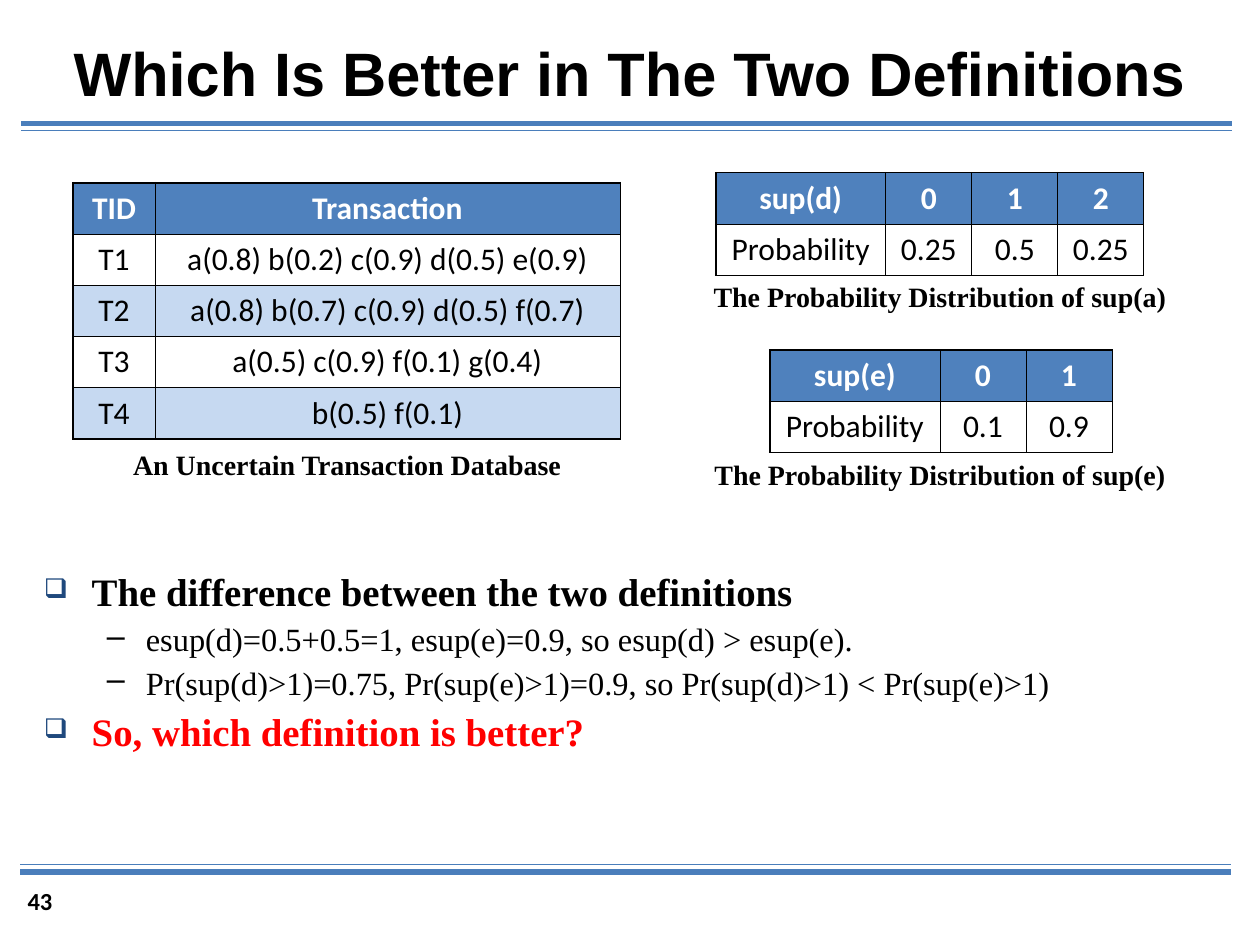
from lxml import etree
from pptx import Presentation
from pptx import util as u
from pptx.dml.color import RGBColor
from pptx.enum import shapes, text
from pptx.oxml import ns

BLACK = RGBColor(0x00, 0x00, 0x00)
WHITE = RGBColor(0xFF, 0xFF, 0xFF)
RED = RGBColor(0xFF, 0x00, 0x00)
RULE_BLUE = RGBColor(0x4A, 0x7E, 0xBB)
HEADER_BLUE = RGBColor(0x4F, 0x81, 0xBD)
BAND_BLUE = RGBColor(0xC6, 0xD9, 0xF1)
BULLET_BLUE = RGBColor(0x1F, 0x49, 0x7D)

TITLE = {"name": "Arial", "size": u.Pt(35), "bold": True}
CAPTION = {"name": "Times New Roman", "size": u.Pt(16), "bold": True}
POINT = {"name": "Times New Roman", "size": u.Pt(22.2), "bold": True}
DETAIL = {"name": "Times New Roman", "size": u.Pt(18.5), "bold": False}
NUMBER = {"name": "Calibri", "size": u.Pt(14), "bold": True}
HEADER = {"name": "Calibri", "size": u.Pt(18), "bold": True}
ENTRY = {**HEADER, "bold": False}
CENTER = text.PP_ALIGN.CENTER

deck = Presentation()
deck.slide_width, deck.slide_height = u.Inches(10), u.Inches(7.5)
slide = deck.slides.add_slide(deck.slide_layouts[6])

# Grid of 100 columns by 75 rows
COL, ROW = deck.slide_width / 100, deck.slide_height / 75


def place(left, top, width, height):
    return [round(n) for n in (left * COL, top * ROW, width * COL, height * ROW)]


def write(paragraph, words, style, color=BLACK, align=None):
    paragraph.alignment = align
    run = paragraph.add_run()
    run.text = words
    for attribute, value in style.items():
        setattr(run.font, attribute, value)
    run.font.color.rgb = color


# Double rules under the title and above the footer
for left, row, weight in [(1.7, 9.8, 3), (1.7, 10.35, 0.75),
                          (1.6, 69.2, 3), (1.6, 68.6, 0.75)]:
    x, y, length, _ = place(left, row, 96.1, 0)
    rule = slide.shapes.add_connector(
        shapes.MSO_CONNECTOR.STRAIGHT, x, y, x + length, y)
    rule.line.color.rgb = RULE_BLUE
    rule.line.width = u.Pt(weight)
    etree.SubElement(rule._element.spPr, ns.qn("a:effectLst"))

# Title, table captions and slide number
for words, box, style, align, anchor in [
    ("Which Is Better in The Two Definitions", (0, 1.8, 100, 7.9),
     TITLE, CENTER, text.MSO_ANCHOR.MIDDLE),
    ("An Uncertain Transaction Database", (9.2, 35, 36.7, 3.3),
     CAPTION, CENTER, text.MSO_ANCHOR.TOP),
    ("The Probability Distribution of sup(a)", (54.2, 21.7, 40.8, 4.2),
     CAPTION, CENTER, text.MSO_ANCHOR.TOP),
    ("The Probability Distribution of sup(e)", (54.2, 35.8, 40.8, 4.2),
     CAPTION, CENTER, text.MSO_ANCHOR.TOP),
    ("43", (1.2, 69.8, 10.2, 4), NUMBER, None, text.MSO_ANCHOR.TOP),
]:
    frame = slide.shapes.add_textbox(*place(*box)).text_frame
    frame.word_wrap = True
    frame.vertical_anchor = anchor
    write(frame.paragraphs[0], words, style, align=align)

# Transaction database and the two support distributions
LINE_ROWS = 4.07
for left, top, columns, foot_weight, records in [
    (5.8, 14.5, [6.5, 36.9], 1.08,
     [("TID", "Transaction"),
      ("T1", "a(0.8) b(0.2) c(0.9) d(0.5) e(0.9)"),
      ("T2", "a(0.8) b(0.7) c(0.9) d(0.5) f(0.7)"),
      ("T3", "a(0.5) c(0.9) f(0.1) g(0.4)"),
      ("T4", "b(0.5) f(0.1)")]),
    (56.8, 13.7, [13.5] + [6.83] * 3, 0.45,
     [("sup(d)", "0", "1", "2"), ("Probability", "0.25", "0.5", "0.25")]),
    (61.1, 27.8, [13.5] + [6.83] * 2, 0.45,
     [("sup(e)", "0", "1"), ("Probability", "0.1", "0.9")]),
]:
    table = slide.shapes.add_table(
        len(records), len(columns),
        *place(left, top, sum(columns), LINE_ROWS * len(records))).table
    table.horz_banding = False
    for column, width in zip(table.columns, columns):
        column.width = round(width * COL)
    for r, record in enumerate(records):
        for c, words in enumerate(record):
            cell = table.cell(r, c)
            cell.vertical_anchor = text.MSO_ANCHOR.MIDDLE
            write(cell.text_frame.paragraphs[0], words,
                  ENTRY if r else HEADER, BLACK if r else WHITE, CENTER)
            borders = {"lnL": 0.45 if c else 1.08, "lnR": 0.45,
                       "lnT": 0.45 if r else 1.08,
                       "lnB": foot_weight if r == len(records) - 1 else 0.45}
            for side, weight in borders.items():
                border = etree.SubElement(cell._tc.get_or_add_tcPr(),
                                          ns.qn(f"a:{side}"), w=str(u.Pt(weight)))
                paint = etree.SubElement(border, ns.qn("a:solidFill"))
                etree.SubElement(paint, ns.qn("a:srgbClr"), val=str(BLACK))
            if r and r % 2:
                cell.fill.background()
            else:
                cell.fill.solid()
                cell.fill.fore_color.rgb = BAND_BLUE if r else HEADER_BLUE

# Comparison of the two definitions
comparison = slide.shapes.add_textbox(*place(2.5, 45, 95, 17.5)).text_frame
comparison.word_wrap = True
for i, (words, level, color) in enumerate([
    ("The difference between the two definitions", 0, BLACK),
    ("esup(d)=0.5+0.5=1, esup(e)=0.9, so esup(d) > esup(e).", 1, BLACK),
    ("Pr(sup(d)>1)=0.75, Pr(sup(e)>1)=0.9, so Pr(sup(d)>1) < Pr(sup(e)>1)", 1, BLACK),
    ("So, which definition is better?", 0, RED),
]):
    paragraph = comparison.add_paragraph() if i else comparison.paragraphs[0]
    margin, hang, mark, mark_color, mark_size, before, style, align = [
        (3.8, 3.8, "❑", BULLET_BLUE, 70, 6, POINT, None),
        (8.1, 3.1, "–", BLACK, 100, 5, DETAIL, text.PP_ALIGN.JUSTIFY),
    ][level]
    paragraph.level = level
    properties = paragraph._p.get_or_add_pPr()
    properties.set("marL", str(round(margin * COL)))
    properties.set("indent", str(round(-hang * COL)))
    bullet_color = etree.SubElement(properties, ns.qn("a:buClr"))
    etree.SubElement(bullet_color, ns.qn("a:srgbClr"), val=str(mark_color))
    etree.SubElement(properties, ns.qn("a:buSzPct"), val=str(mark_size * 1000))
    etree.SubElement(properties, ns.qn("a:buChar"), char=mark)
    paragraph.line_spacing = 0.9
    if i:
        paragraph.space_before = u.Pt(before)
    write(paragraph, words, style, color, align)

deck.save("out.pptx")
